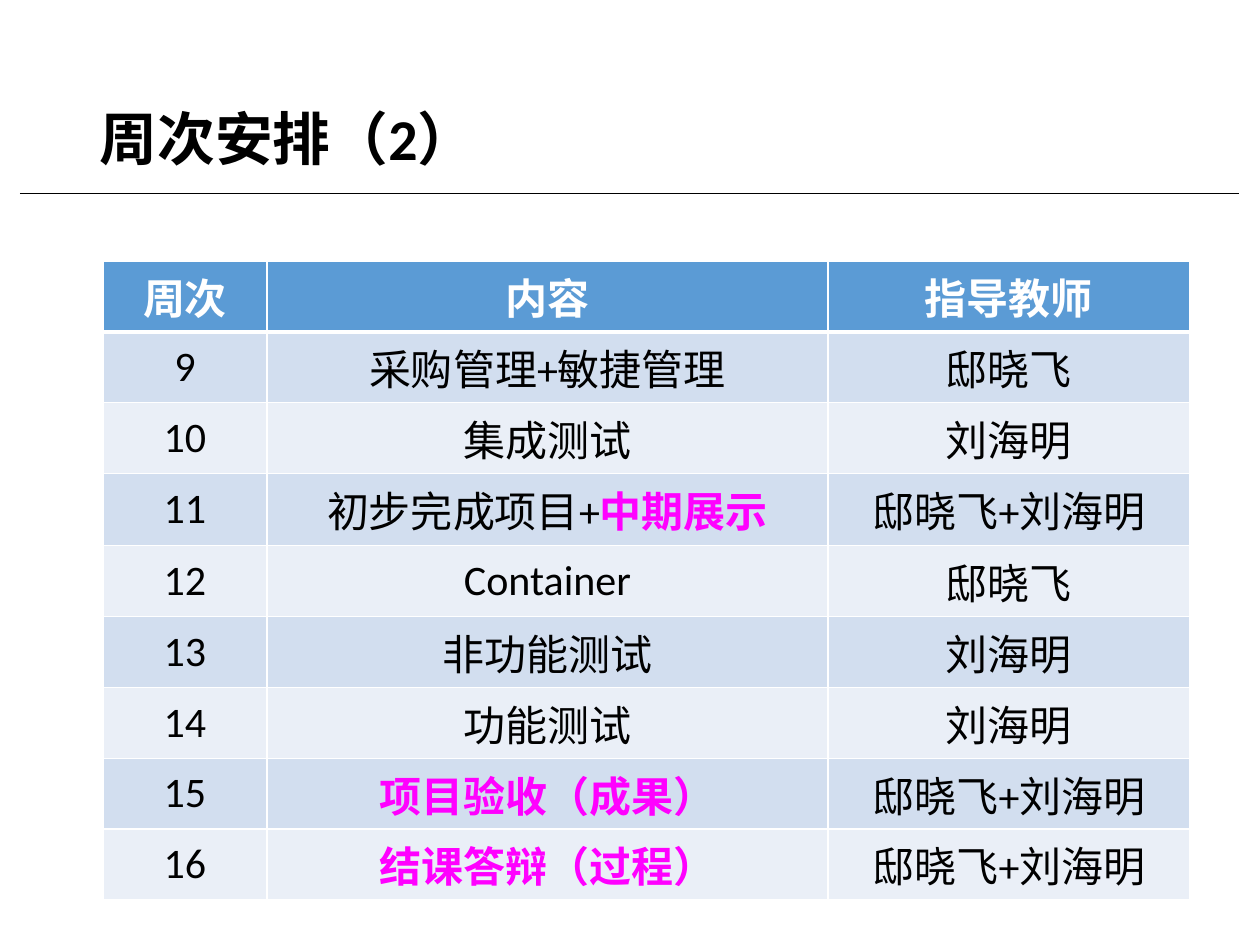
from lxml import etree
from pptx import Presentation
from pptx.dml.color import RGBColor
from pptx.enum.shapes import MSO_CONNECTOR
from pptx.enum.text import MSO_ANCHOR, MSO_AUTO_SIZE, PP_ALIGN
from pptx.oxml.ns import qn
from pptx.util import Pt

LEFT, CENTER = PP_ALIGN.LEFT, PP_ALIGN.CENTER
MIDDLE = MSO_ANCHOR.MIDDLE
STRAIGHT = MSO_CONNECTOR.STRAIGHT
NO_AUTOFIT = MSO_AUTO_SIZE.NONE

EMU_PER_PX = 914400 / 126
TITLE_ONLY = 5
BLACK, WHITE, MAGENTA = "000000", "FFFFFF", "FF00FF"
HEADER_FILL = "5B9BD5"
BAND_FILLS = ("D2DEEF", "EAEFF7")

COLUMN_WIDTHS = (164, 561, 362)
ROW_HEIGHTS = (64, 64, 64, 72, 64, 64, 64, 64, 64)
HEADINGS = ("周次", "内容", "指导教师")
FIRST_WEEK = 9
DI, LIU = "邸晓飞", "刘海明"
BOTH = f"{DI}+{LIU}"
SCHEDULE = (
    ("采购管理+敏捷管理", "", DI),
    ("集成测试", "", LIU),
    ("初步完成项目+", "中期展示", BOTH),
    ("Container", "", DI),
    ("非功能测试", "", LIU),
    ("功能测试", "", LIU),
    ("", "项目验收（成果）", BOTH),
    ("", "结课答辩（过程）", BOTH),
)


def px(length):
    return round(length * EMU_PER_PX)


def color(value):
    return RGBColor.from_string(value)


def set_attributes(target, values):
    for name, value in values.items():
        setattr(target, name, value)


def add_run(paragraph, text, size, font_color, bold):
    run = paragraph.add_run()
    run.text = text
    set_attributes(run.font, {"name": "Calibri", "size": Pt(size), "bold": bold})
    run.font.color.rgb = color(font_color)


def format_title(slide, text):
    title = slide.shapes.title
    set_attributes(title, {"left": px(87), "top": px(50), "width": px(1086), "height": px(183)})
    frame = title.text_frame
    set_attributes(frame, {"vertical_anchor": MIDDLE, "word_wrap": True, "auto_size": NO_AUTOFIT})
    paragraph = frame.paragraphs[0]
    set_attributes(paragraph, {"alignment": LEFT, "line_spacing": 0.9})
    add_run(paragraph, text, 33, BLACK, True)


def add_rule(slide, left, right, top):
    rule = slide.shapes.add_connector(STRAIGHT, px(left), px(top), px(right), px(top))
    rule.line.color.rgb = color(BLACK)
    rule.line.width = Pt(0.5)
    etree.SubElement(rule._element.spPr, qn("a:effectLst"))


def set_borders(cell, widths):
    properties = cell._tc.get_or_add_tcPr()
    for position, (side, width) in enumerate(widths.items()):
        border = etree.Element(qn(f"a:{side}"), w=str(Pt(width)))
        fill = etree.SubElement(border, qn("a:solidFill"))
        etree.SubElement(fill, qn("a:srgbClr"), val=WHITE)
        properties.insert(position, border)


def format_cell(cell, runs, fill, top_border, bottom_border):
    margins = {"margin_left": px(9), "margin_right": px(9), "margin_top": px(5), "margin_bottom": px(5)}
    set_attributes(cell, {"vertical_anchor": MIDDLE, **margins})
    cell.fill.solid()
    cell.fill.fore_color.rgb = color(fill)
    set_borders(cell, {"lnL": 1, "lnR": 1, "lnT": top_border, "lnB": bottom_border})
    paragraph = cell.text_frame.paragraphs[0]
    paragraph.alignment = CENTER
    for text, font_color, bold in runs:
        if text:
            add_run(paragraph, text, 24, font_color, bold)


def schedule_rows():
    rows = [[[(heading, WHITE, True)] for heading in HEADINGS]]
    for week, (topic, milestone, teacher) in enumerate(SCHEDULE, FIRST_WEEK):
        content = [(topic, BLACK, False), (milestone, MAGENTA, True)]
        rows.append([[(str(week), BLACK, False)], content, [(teacher, BLACK, False)]])
    return rows


def add_schedule(slide, left, top):
    frame = slide.shapes.add_table(
        len(ROW_HEIGHTS), len(COLUMN_WIDTHS),
        px(left), px(top), px(sum(COLUMN_WIDTHS)), px(sum(ROW_HEIGHTS)),
    )
    table = frame.table
    for column, width in zip(table.columns, COLUMN_WIDTHS):
        column.width = px(width)
    for row, height in zip(table.rows, ROW_HEIGHTS):
        row.height = px(height)
    for row_index, contents in enumerate(schedule_rows()):
        fill = BAND_FILLS[(row_index - 1) % 2] if row_index else HEADER_FILL
        top_border = 3 if row_index == 1 else 1
        bottom_border = 3 if row_index == 0 else 1
        for column_index, runs in enumerate(contents):
            cell = table.cell(row_index, column_index)
            format_cell(cell, runs, fill, top_border, bottom_border)


def main():
    presentation = Presentation()
    set_attributes(presentation, {"slide_width": px(1260), "slide_height": px(945)})
    slide = presentation.slides.add_slide(presentation.slide_layouts[TITLE_ONLY])
    add_rule(slide, 20, 1239, 193)
    format_title(slide, "周次安排（2）")
    add_schedule(slide, 103, 261)
    presentation.save("out.pptx")


if __name__ == "__main__":
    main()
